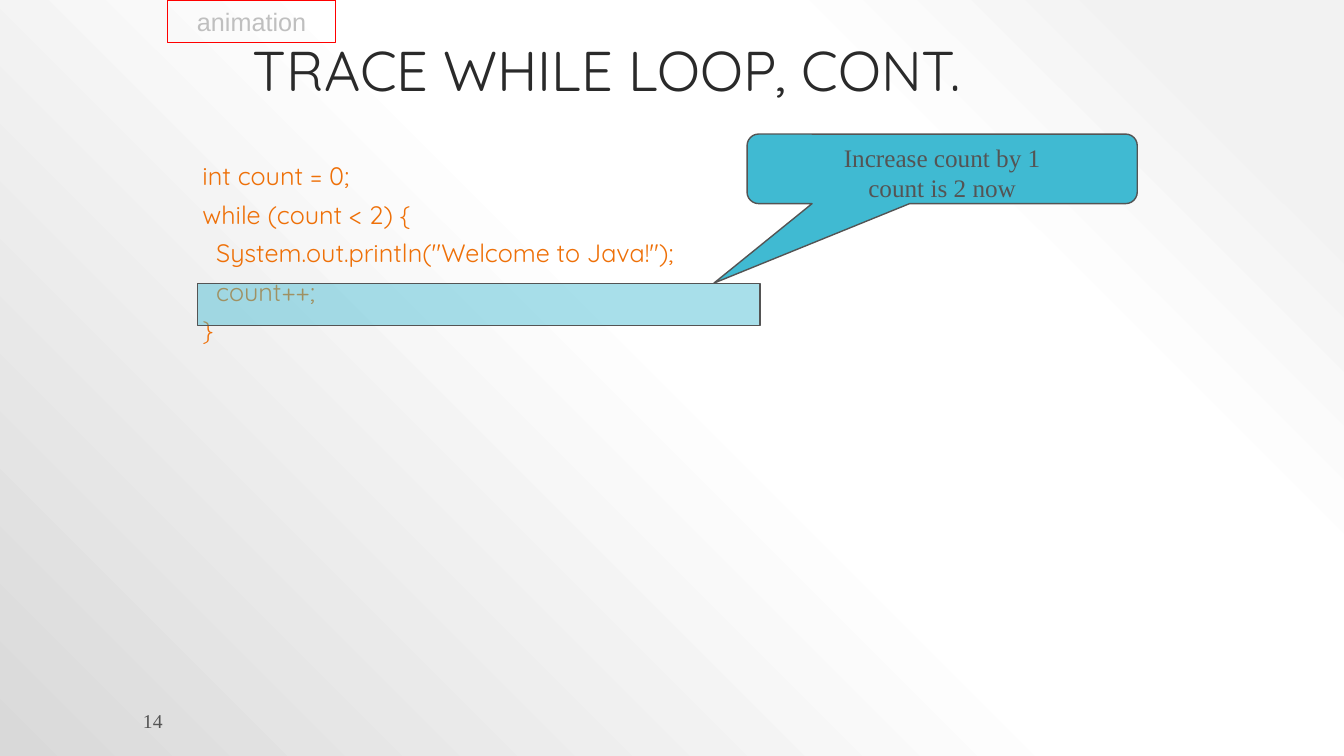
from lxml.etree import SubElement
from pptx import Presentation
from pptx.dml.color import RGBColor
from pptx.enum.shapes import MSO_SHAPE
from pptx.enum.text import MSO_ANCHOR, PP_ALIGN
from pptx.oxml import parse_xml
from pptx.oxml.ns import nsdecls, qn
from pptx.util import Inches, Pt

TITLE = ["TRACE WHILE LOOP, CONT."]
CODE = [
    "int count = 0;",
    "while (count < 2) {",
    '  System.out.println("Welcome to Java!");',
    "  count++;",
    "}",
]
NOTE = ["Increase count by 1", "count is 2 now"]
TAG = ["animation"]
PAGE = ["14"]

THEME = {
    "title": ("Quicksand", 40, "2A2A2A"),
    "code": ("Quicksand", 18, "EE7008"),
    "note": ("Times New Roman", 18, "545454"),
    "tag": ("Arial", 18, "BFBFBF"),
    "page": ("Times New Roman", 14, "545454"),
    "accent": "40BAD2",
    "edge": "545454",
    "alert": "FF0000",
    "back": [(10, "F2F2F2"), (28, "FFFFFF"), (48, "FFFFFF"), (100, "D9D9D9")],
}


def paint(slide):
    slide.background.fill.gradient()
    stops = "".join(
        f'<a:gs pos="{pos * 1000}"><a:srgbClr val="{tone}"/></a:gs>'
        for pos, tone in THEME["back"]
    )
    grad = parse_xml(
        f'<a:gradFill {nsdecls("a")} rotWithShape="1"><a:gsLst>{stops}</a:gsLst>'
        '<a:path path="circle"><a:fillToRect l="100000" b="100000"/></a:path></a:gradFill>'
    )
    old = next(slide.element.iter(qn("a:gradFill")))
    old.getparent().replace(old, grad)


def write(shape, lines, style, anchor=MSO_ANCHOR.TOP, align=PP_ALIGN.LEFT,
          leading=1.0, gap=0, wrap=True):
    face, size, tone = THEME[style]
    frame = shape.text_frame
    frame.word_wrap = wrap
    frame.vertical_anchor = anchor
    for i, line in enumerate(lines):
        para = frame.add_paragraph() if i else frame.paragraphs[0]
        para.alignment = align
        para.line_spacing = leading
        if i and gap:
            para.space_before = Pt(gap)
        run = para.add_run()
        run.text = line
        run.font.name = face
        run.font.size = Pt(size)
        run.font.color.rgb = RGBColor.from_string(tone)


def label(slide, box, lines, style, **look):
    shape = slide.shapes.add_textbox(*map(Inches, box))
    write(shape, lines, style, **look)


def block(slide, kind, box, edge, fill=None, alpha=None):
    shape = slide.shapes.add_shape(kind, *map(Inches, box))
    shape.shadow.inherit = False
    shape.line.color.rgb = RGBColor.from_string(edge)
    shape.line.width = Pt(1)
    if fill:
        shape.fill.solid()
        shape.fill.fore_color.rgb = RGBColor.from_string(fill)
    else:
        shape.fill.background()
    if alpha:
        tone = next(shape.element.spPr.iter(qn("a:srgbClr")))
        SubElement(tone, qn("a:alpha"), val=str(alpha * 1000))
    return shape


def main():
    deck = Presentation()
    deck.slide_width, deck.slide_height = Inches(13.33), Inches(7.5)
    slide = deck.slides.add_slide(deck.slide_layouts[6])
    paint(slide)

    label(slide, (1.32, 7.05, 7.26, 0.2), PAGE, "page", anchor=MSO_ANCHOR.MIDDLE)
    label(slide, (2.41, 0.25, 8.5, 0.83), TITLE, "title",
          anchor=MSO_ANCHOR.BOTTOM, leading=0.9)
    label(slide, (1.91, 1.58, 5.83, 2.07), CODE, "code", leading=0.9, gap=8)

    note = block(slide, MSO_SHAPE.ROUNDED_RECTANGULAR_CALLOUT,
                 (7.41, 1.33, 3.87, 0.69), THEME["edge"], THEME["accent"])
    for i, value in enumerate((-0.585, 1.643, 0.167)):
        note.adjustments[i] = value
    write(note, NOTE, "note", align=PP_ALIGN.CENTER)

    block(slide, MSO_SHAPE.RECTANGLE, (1.96, 2.81, 5.58, 0.42),
          THEME["edge"], THEME["accent"], 45)
    tag = block(slide, MSO_SHAPE.RECTANGLE, (1.66, 0, 1.67, 0.42), THEME["alert"])
    write(tag, TAG, "tag", MSO_ANCHOR.MIDDLE, PP_ALIGN.CENTER, wrap=False)

    deck.save("out.pptx")


if __name__ == "__main__":
    main()
